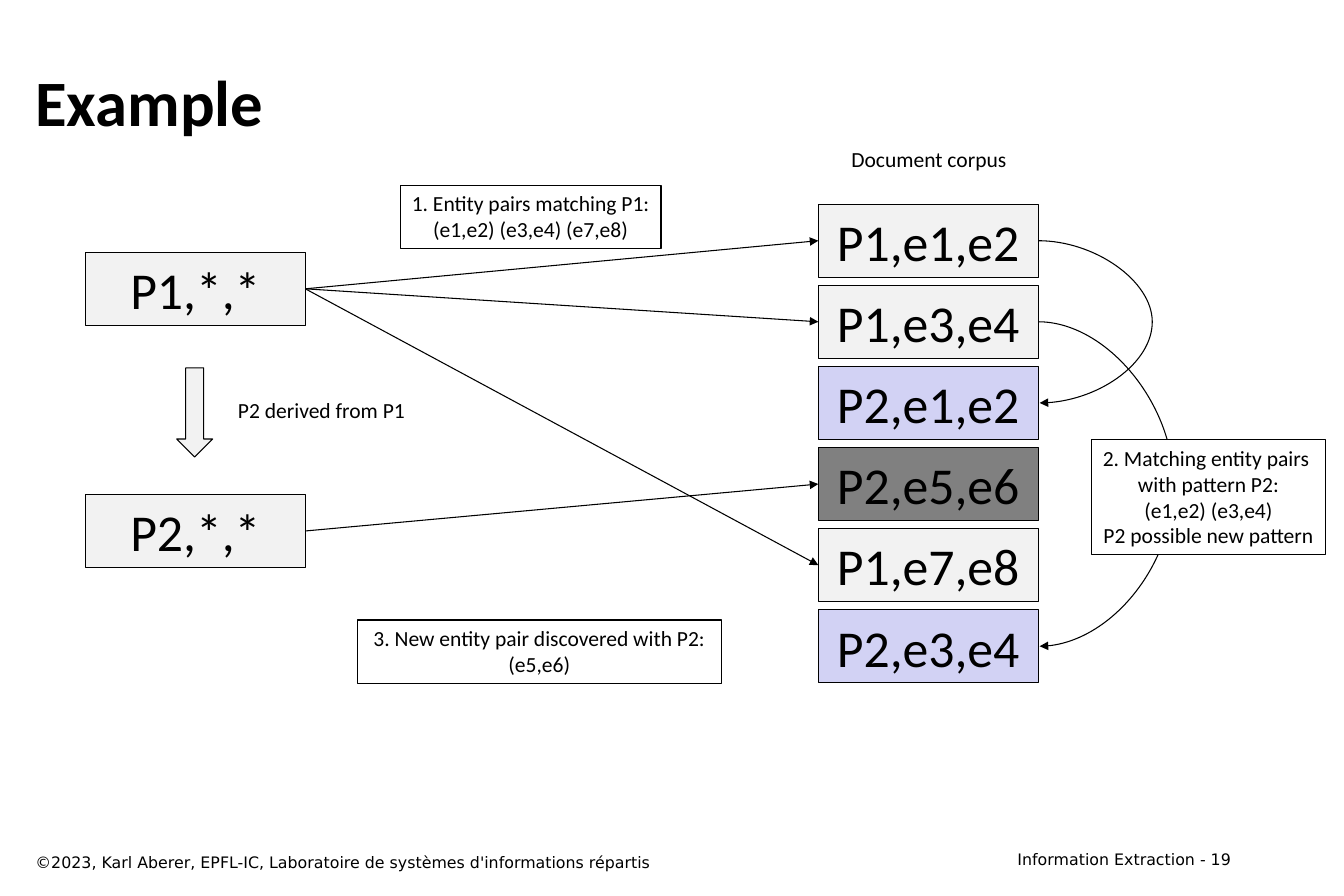
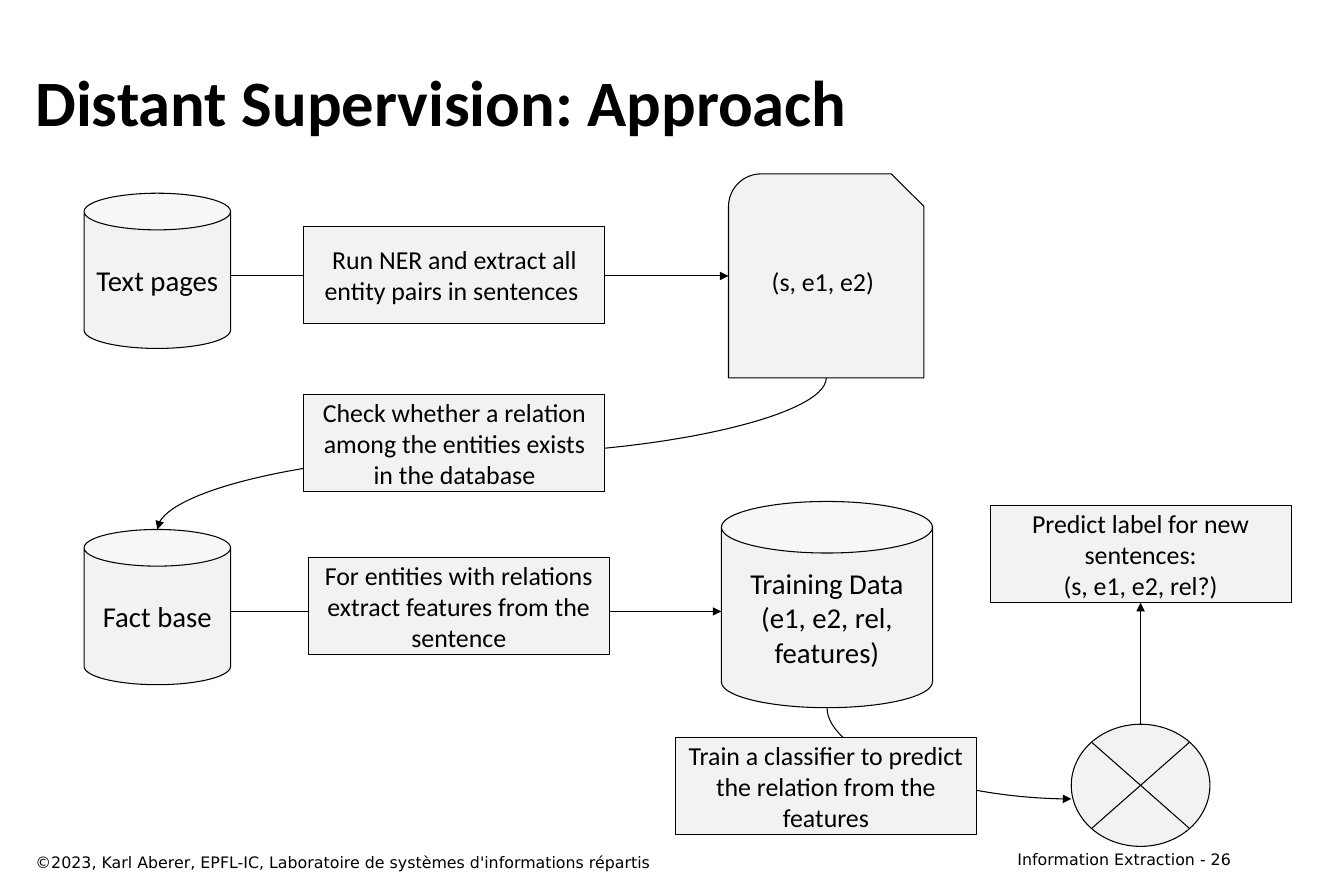
from lxml import etree
from pptx import Presentation
from pptx.dml.color import RGBColor
from pptx.enum.shapes import MSO_CONNECTOR, MSO_SHAPE
from pptx.enum.text import MSO_ANCHOR, PP_ALIGN
from pptx.oxml.ns import qn
from pptx.util import Pt

RECT, CAN, SNIP = MSO_SHAPE.RECTANGLE, MSO_SHAPE.CAN, MSO_SHAPE.SNIP_ROUND_RECTANGLE
DOWN, CROSS = MSO_SHAPE.DOWN_ARROW, MSO_SHAPE.FLOWCHART_SUMMING_JUNCTION
STRAIGHT, CURVE = MSO_CONNECTOR.STRAIGHT, MSO_CONNECTOR.CURVE
LEFT, CENTER, RIGHT = PP_ALIGN.LEFT, PP_ALIGN.CENTER, PP_ALIGN.RIGHT
TOP, MIDDLE = MSO_ANCHOR.TOP, MSO_ANCHOR.MIDDLE

BLACK, WHITE, PALE, LILAC, GRAY = "000000", "FFFFFF", "F2F2F2", "D2D2F4", "808080"
MAIN, SMALL = "Calibri", "DejaVu Sans"
OWNER = "©2023, Karl Aberer, EPFL-IC, Laboratoire de systèmes d'informations répartis"
STEP_W, STEP_H = 209.5, 67.5


def color(code):
    return RGBColor.from_string(code)


def write(shape, text, size, align=CENTER, anchor=MIDDLE, face=MAIN, bold=False, wrap=True):
    frame = shape.text_frame
    frame.text = text
    frame.word_wrap = wrap
    frame.vertical_anchor = anchor
    for para in frame.paragraphs:
        para.alignment = align
        for run in para.runs:
            font = run.font
            font.name, font.size, font.bold = face, Pt(size), bold
            font.color.rgb = color(BLACK)


def pad(shape):
    frame = shape.text_frame
    frame.margin_left = frame.margin_right = Pt(8.64)
    frame.margin_top = frame.margin_bottom = Pt(4.32)


def block(slide, kind, box, text="", size=18, fill=PALE):
    shape = slide.shapes.add_shape(kind, *map(Pt, box))
    shape.shadow.inherit = False
    shape.fill.solid()
    shape.fill.fore_color.rgb = color(fill)
    shape.line.color.rgb = color(BLACK)
    shape.line.width = Pt(0.75)
    if text:
        write(shape, text, size)
    return shape


def label(slide, box, text):
    shape = slide.shapes.add_textbox(*map(Pt, box))
    write(shape, text, 15, anchor=TOP, wrap=False)
    return shape


def note(slide, box, text, fill=None):
    """Place an outlined label, see-through unless a fill is given."""
    shape = label(slide, box, text)
    shape.line.color.rgb = color(BLACK)
    shape.line.width = Pt(0.75)
    if fill:
        shape.fill.solid()
        shape.fill.fore_color.rgb = color(fill)


def arrow(slide, start, end, kind=STRAIGHT):
    link = slide.shapes.add_connector(kind, *map(Pt, start + end))
    link.line.color.rgb = color(BLACK)
    link.line.width = Pt(0.75)
    line = link.line._get_or_add_ln()
    etree.SubElement(line, qn("a:tailEnd"), type="triangle")
    etree.SubElement(link._element.spPr, qn("a:effectLst"))
    return link


def join(slide, one, out, two, into):
    link = arrow(slide, (0, 0), (0, 0))
    link.begin_connect(one, out)
    link.end_connect(two, into)


def frame_curve(link, box, turn=0, flip=False):
    """Set the box of a curve before its turn in degrees and its flip."""
    link.left, link.top, link.width, link.height = map(Pt, box)
    form = link._element.spPr.find(qn("a:xfrm"))
    form.set("rot", str(turn * 60000))
    form.set("flipH", str(int(flip)))
    form.set("flipV", "0")


def loop(slide, one, two, bulge):
    """Curve from the right side of one box back to that of a lower one."""
    link = arrow(slide, (0, 0), (0, 0), CURVE)
    link.begin_connect(one, 3)
    link.end_connect(two, 3)
    top = (one.top + one.height / 2) / Pt(1)
    frame_curve(link, ((one.left + one.width) / Pt(1), top, 1, (two.top - one.top) / Pt(1)))
    guides = link._element.spPr.find(qn("a:prstGeom")).get_or_add_avLst()
    etree.SubElement(guides, qn("a:gd"), name="adj1", fmla=f"val {bulge * 100000}")


def drop(slide, start, end, one, two=None):
    """Curve that leaves one shape downwards, to the top of two or to a free end."""
    link = arrow(slide, start, end, CURVE)
    link.begin_connect(one, 1 if two else 3)
    if two:
        link.end_connect(two, 1)
    wide, high = abs(end[0] - start[0]), abs(end[1] - start[1])
    left = (start[0] + end[0] - high) / 2
    top = (start[1] + end[1] - wide) / 2
    frame_curve(link, (left, top, high, wide), 90 if two else 270, two is None)
    if not two:
        link._element.spPr.find(qn("a:prstGeom")).set("prst", "curvedConnector2")


def base(deck, title, page):
    """Add a slide with its title and both footers."""
    slide = deck.slides.add_slide(deck.slide_layouts[5])
    head = slide.shapes.title
    head.left, head.top, head.width, head.height = map(Pt, (16, 28, 850, 83.5))
    write(head, title, 45, LEFT, bold=True)
    pad(head)
    feet = (((16, 589, 600, 21), OWNER, LEFT),
            ((670.5, 587, 195, 21), f"Information Extraction - {page}", RIGHT))
    for box, text, align in feet:
        foot = slide.shapes.add_textbox(*map(Pt, box))
        write(foot, text, 11, align, TOP, SMALL)
        pad(foot)
    return slide


def corpus(slide, left, top):
    rows = (("P1,e1,e2", PALE), ("P1,e3,e4", PALE), ("P2,e1,e2", LILAC),
            ("P2,e5,e6", GRAY), ("P1,e7,e8", PALE), ("P2,e3,e4", LILAC))
    label(slide, (left + 15, top - 44, 124, 25), "Document corpus")
    return [block(slide, RECT, (left, top + 56.45 * i, 153, 51), text, 36, fill)
            for i, (text, fill) in enumerate(rows)]


def patterns(slide, left, top):
    first = block(slide, RECT, (left, top, 153, 51), "P1,*,*", 36)
    second = block(slide, RECT, (left, top + 168.5, 153, 51), "P2,*,*", 36)
    block(slide, DOWN, (left + 63.5, top + 80.5, 25, 62))
    label(slide, (left + 98, top + 97.5, 132.5, 25), "P2 derived from P1")
    return first, second


def example(deck):
    slide = base(deck, "Example", 19)
    first, second = patterns(slide, 59.5, 175.5)
    docs = corpus(slide, 569.5, 142)
    for row in (0, 1, 4):
        join(slide, first, 3, docs[row], 1)
    join(slide, second, 3, docs[3], 1)
    loop(slide, docs[0], docs[2], 80)
    loop(slide, docs[1], docs[5], 95)
    note(slide, (278.5, 129, 181.5, 44), "1. Entity pairs matching P1:\n(e1,e2) (e3,e4) (e7,e8)")
    note(slide, (759.5, 306, 163, 80),
         "2. Matching entity pairs \vwith pattern P2:\n(e1,e2) (e3,e4)\nP2 possible new pattern", WHITE)
    note(slide, (248.5, 431.5, 253.5, 44), "3. New entity pair discovered with P2:\n(e5,e6)")


def step(slide, left, top, text):
    return block(slide, RECT, (left, top, STEP_W, STEP_H), text)


def approach(deck):
    slide = base(deck, "Distant Supervision: Approach", 26)
    block(slide, CAN, (58.5, 134.5, 102, 108), "Text pages", 20)
    pairs = block(slide, SNIP, (507, 121, 136, 142), "(s, e1, e2)")
    facts = block(slide, CAN, (58.5, 368.5, 102, 108), "Fact base", 20)
    train = block(slide, CAN, (502, 349, 147, 143.5),
                  "Training Data\n(e1, e2, rel, features)", 20)
    model = block(slide, CROSS, (745.5, 504, 96.5, 85))

    arrow(slide, (160.5, 192), (507, 192))
    arrow(slide, (160.5, 425.5), (502, 425.5))
    drop(slide, (575, 263), (109.5, 368.5), pairs, facts)
    drop(slide, (575.5, 492.5), (745.5, 556), train)

    step(slide, 211.5, 157.5, "Run NER and extract all entity pairs in sentences ")
    step(slide, 211.5, 274.5, "Check whether a relation among the entities exists in the database")
    step(slide, 214.5, 388, "For entities with relations extract features from the sentence")
    step(slide, 470, 513.5, "Train a classifier to predict the relation from the features")
    answer = step(slide, 689, 352, "Predict label for new sentences:\n(s, e1, e2, rel?)")
    join(slide, model, 0, answer, 2)


def main():
    deck = Presentation()
    deck.slide_width, deck.slide_height = Pt(935.28), Pt(623.52)
    example(deck)
    approach(deck)
    deck.save("out.pptx")


if __name__ == "__main__":
    main()
